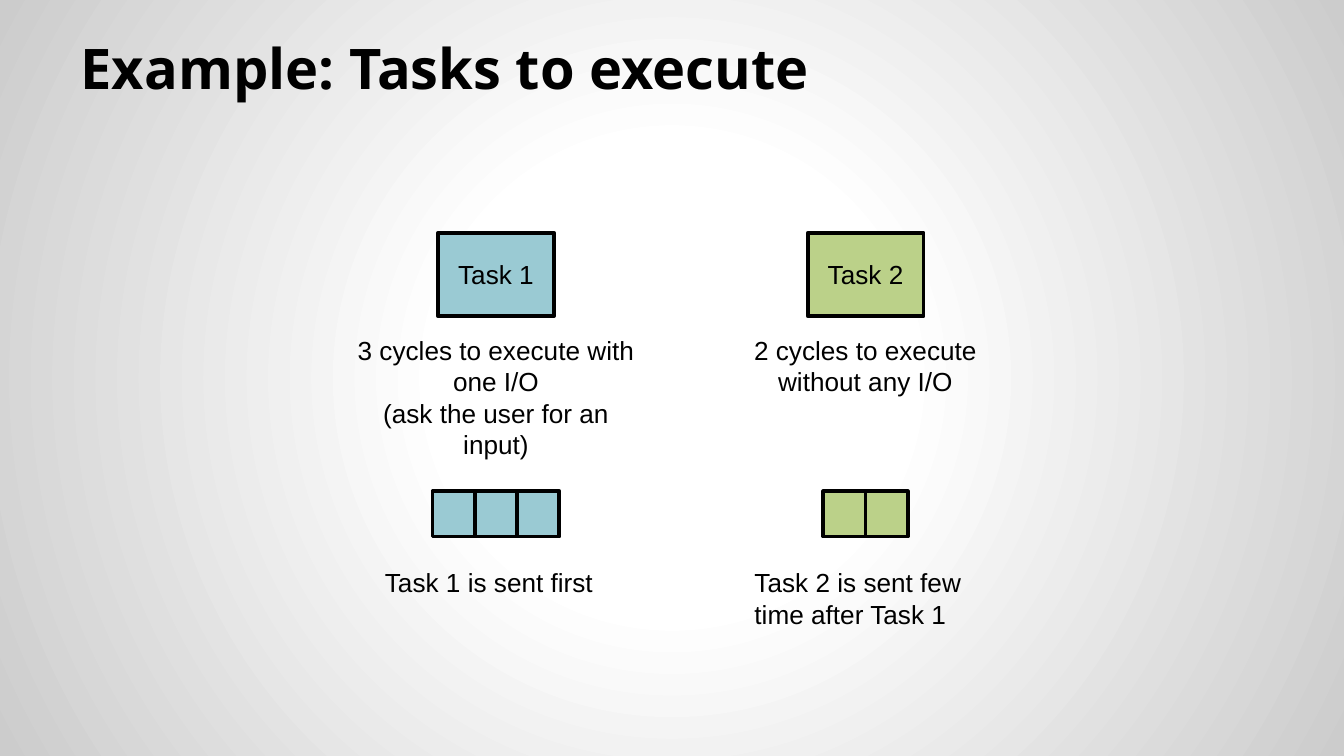
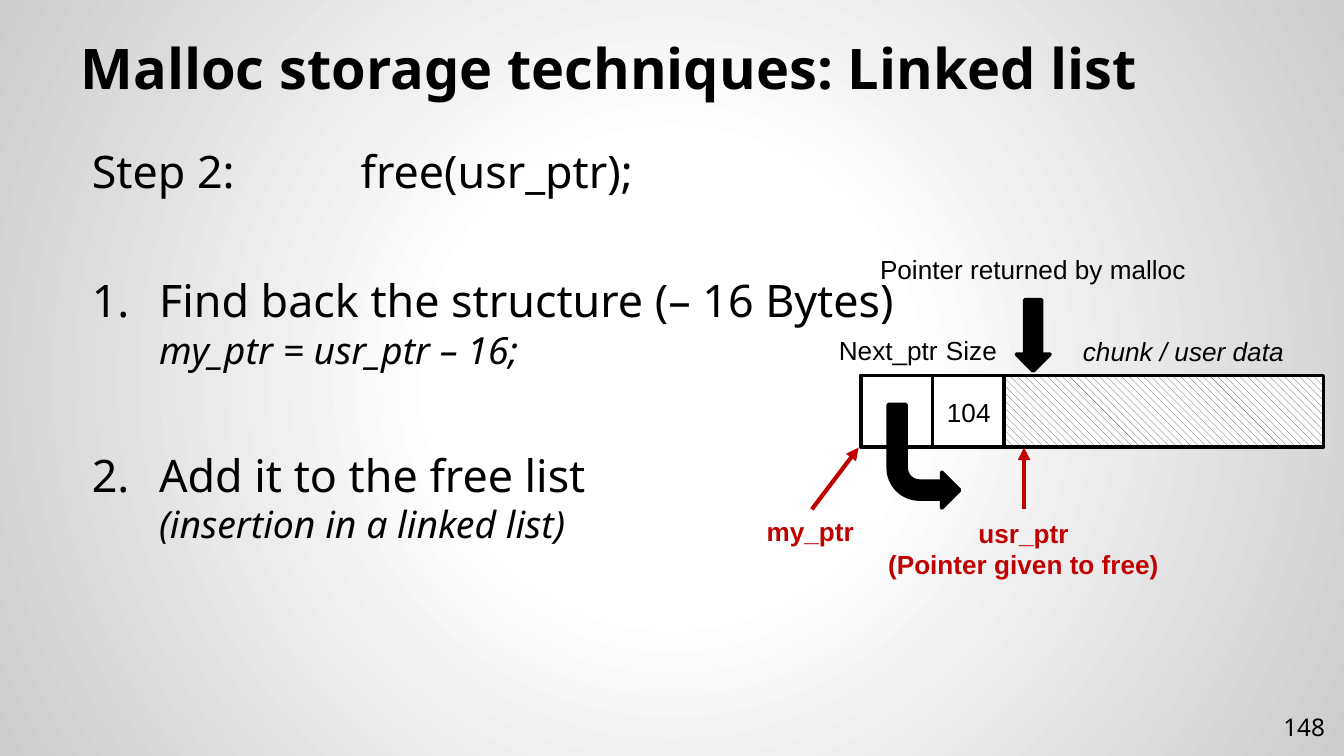
"""Build two slides on task scheduling and on freeing memory in a linked list."""
import lxml.etree
import pptx
import pptx.dml.color
import pptx.enum.dml
import pptx.enum.shapes
import pptx.enum.text
import pptx.oxml
import pptx.oxml.ns
import pptx.util

Pt = pptx.util.Pt
RGBColor = pptx.dml.color.RGBColor
SHAPE = pptx.enum.shapes.MSO_SHAPE
ALIGN = pptx.enum.text.PP_ALIGN
ANCHOR = pptx.enum.text.MSO_ANCHOR
FIT = pptx.enum.text.MSO_AUTO_SIZE
qn = pptx.oxml.ns.qn

BLACK = RGBColor(0x00, 0x00, 0x00)
WHITE = RGBColor(0xFF, 0xFF, 0xFF)
GREY = RGBColor(0x4D, 0x4D, 0x4D)
EDGE = RGBColor(0xCC, 0xCC, 0xCC)
BLUE = RGBColor(0x9A, 0xCA, 0xD3)
GREEN = RGBColor(0xBB, 0xD1, 0x89)
RED = RGBColor(0xC0, 0x00, 0x00)
HEAD_FONT = "Noto Sans"
LABEL_FONT = "Arial"
CELL = 38.2


def set_background(prs):
    """Give the master a radial gradient from white to grey."""
    prs.slide_master.background.fill.solid()
    bg = prs.slide_master.element.find(".//" + qn("p:bgPr"))
    stops = "".join(
        f'<a:gs pos="{pos}000"><a:srgbClr val="{color}"/></a:gs>'
        for pos, color in ((0, WHITE), (30, WHITE), (100, EDGE)))
    grad = pptx.oxml.parse_xml(
        f'<a:gradFill {pptx.oxml.ns.nsdecls("a")} rotWithShape="1">'
        f'<a:gsLst>{stops}</a:gsLst><a:path path="circle">'
        '<a:fillToRect l="50000" t="50000" r="50000" b="50000"/></a:path></a:gradFill>')
    bg.replace(bg.find(qn("a:solidFill")), grad)


def place(sp, x, y, w, h):
    """Move and size a placeholder."""
    sp.left, sp.top, sp.width, sp.height = Pt(x), Pt(y), Pt(w), Pt(h)


def set_insets(tf, size):
    """Set the same inset on all four sides."""
    tf.margin_left = tf.margin_right = tf.margin_top = tf.margin_bottom = Pt(size)


def add_run(p, text, size=14, font=LABEL_FONT, color=BLACK, bold=False, italic=False):
    """Add one formatted run."""
    r = p.add_run()
    r.text = text
    r.font.size, r.font.name = Pt(size), font
    r.font.color.rgb = color
    r.font.bold, r.font.italic = bold, italic


def add_lines(p, text, **style):
    """Add a run for each line, with line breaks between."""
    for i, line in enumerate(text.split("\n")):
        if i:
            p.add_line_break()
        add_run(p, line, **style)


def add_label(s, text, x, y, w, h=24.5, align=ALIGN.CENTER, **style):
    """Add a wrapped text box that grows with its text."""
    tf = s.shapes.add_textbox(Pt(x), Pt(y), Pt(w), Pt(h)).text_frame
    tf.word_wrap = True
    tf.auto_size = FIT.SHAPE_TO_FIT_TEXT
    p = tf.paragraphs[0]
    p.alignment = align
    add_lines(p, text, **style)
    return tf


def add_box(s, x, y, w, h, fill, kind=SHAPE.RECTANGLE, text=""):
    """Add a filled, black-outlined shape."""
    sp = s.shapes.add_shape(kind, Pt(x), Pt(y), Pt(w), Pt(h))
    sp.shadow.inherit = False
    sp.fill.solid()
    sp.fill.fore_color.rgb = fill
    sp.line.color.rgb = BLACK
    sp.line.width = Pt(2)
    if text:
        sp.text_frame.vertical_anchor = ANCHOR.MIDDLE
        p = sp.text_frame.paragraphs[0]
        p.alignment = ALIGN.CENTER
        add_run(p, text)
    return sp


def add_arrow(s, x1, y1, x2, y2):
    """Add a red line with an arrowhead at its end."""
    cx = s.shapes.add_connector(
        pptx.enum.shapes.MSO_CONNECTOR.STRAIGHT, Pt(x1), Pt(y1), Pt(x2), Pt(y2))
    cx.line.color.rgb = RED
    cx.line.width = Pt(2.25)
    ln = cx.element.spPr.find(qn("a:ln"))
    lxml.etree.SubElement(ln, qn("a:tailEnd"), type="triangle")
    lxml.etree.SubElement(cx.element.spPr, qn("a:effectLst"))


def add_slide(prs, layout, title):
    """Add a slide with the shared title style."""
    s = prs.slides.add_slide(prs.slide_layouts[layout])
    place(s.shapes.title, 36, 16.6, 648, 44.6)
    tf = s.shapes.title.text_frame
    set_insets(tf, 7.2)
    tf.auto_size = FIT.NONE
    tf.word_wrap = True
    tf.vertical_anchor = ANCHOR.BOTTOM
    p = tf.paragraphs[0]
    p.alignment = ALIGN.LEFT
    add_run(p, title, size=30, font=HEAD_FONT, bold=True)
    return s


def add_task(s, center, name, color, cycles, caption, caption_w, note):
    """Add a task box with its caption, cycle cells and note on one axis."""
    cell = 22.65
    add_box(s, center - 31, 124.7, 62, 44.8, color, text=name)
    add_label(s, caption, center - caption_w / 2, 175.6, caption_w)
    for i in range(cycles):
        add_box(s, center + (i - cycles / 2) * cell, 263.2, cell, 24.3, color)
    add_label(s, note, center - 66.6, 300, 133.2, align=ALIGN.LEFT)


def format_item(p, left, indent, before, numbered):
    """Set the indents, tabs, spacing and bullet of a body paragraph."""
    p.alignment = ALIGN.LEFT
    p.space_before = Pt(before)
    p.line_spacing = 1.0
    pPr = p._p.get_or_add_pPr()
    pPr.set("marL", str(Pt(left)))
    pPr.set("indent", str(Pt(indent)))
    pPr.set("defTabSz", str(Pt(72)))
    if numbered:
        clr = lxml.etree.SubElement(pPr, qn("a:buClr"))
        lxml.etree.SubElement(clr, qn("a:srgbClr"), val=str(BLACK))
        lxml.etree.SubElement(pPr, qn("a:buFont"), typeface=HEAD_FONT)
        lxml.etree.SubElement(pPr, qn("a:buAutoNum"), type="arabicPeriod")
    else:
        lxml.etree.SubElement(pPr, qn("a:buNone"))


def add_steps(s, heading, steps):
    """Fill the body with a heading and numbered steps with italic details."""
    body = s.placeholders[1]
    place(body, 36, 69.8, 648, 317.5)
    tf = body.text_frame
    set_insets(tf, 7.2)
    tf.auto_size = FIT.NONE
    p = tf.paragraphs[0]
    format_item(p, 6, 0, 6, False)
    add_run(p, heading, size=24, font=HEAD_FONT)
    for step, detail in steps:
        p = tf.add_paragraph()
        format_item(p, 42, -36, 40.5, True)
        add_run(p, step, size=24, font=HEAD_FONT)
        p.add_line_break()
        add_run(p, detail, size=20, font=HEAD_FONT, italic=True)


def add_page_number(s, number):
    """Add the page number in the bottom right corner."""
    tf = add_label(s, number, 673.7, 373.7, 43.2, 31, ALIGN.RIGHT, size=13, font=HEAD_FONT)
    tf.auto_size = FIT.NONE
    set_insets(tf, 7.2)
    tf.vertical_anchor = ANCHOR.MIDDLE


def add_chunk(s, x, y):
    """Add the memory chunk with its header cells, arrows and labels."""
    data = add_box(s, x, y, 247.7, CELL, WHITE)
    data.fill.patterned()
    data.fill.pattern = pptx.enum.dml.MSO_PATTERN.WIDE_DOWNWARD_DIAGONAL
    data.fill.fore_color.rgb = GREY
    data.fill.back_color.rgb = WHITE
    for i in range(2):
        add_box(s, x + i * CELL, y, CELL, CELL, WHITE)
    add_label(s, "Size", 499.7, 175.7, 49, align=ALIGN.LEFT)
    add_label(s, "Next_ptr", 442.3, 175.7, 71.3, align=ALIGN.LEFT)
    link = add_box(s, 475.9, 216.7, CELL, 55.4, BLACK, SHAPE.BENT_ARROW)
    link.rotation = 180
    link.element.spPr.get_or_add_xfrm().set("flipH", "1")
    add_box(s, 544.5, 160.6, 18, CELL, BLACK, SHAPE.DOWN_ARROW)
    add_label(s, "Pointer returned by malloc", 455.8, 132.2, 195.1)
    add_label(s, "chunk / user data", 558.7, 176.4, 150.5, italic=True)
    add_arrow(s, 434.9, 272.9, 460, 239.8)
    add_arrow(s, 548.6, 272.9, 548.6, 239.8)
    add_label(s, "usr_ptr\n(Pointer given to free)", 462.6, 273.6, 171.4, 41, color=RED, bold=True)
    add_label(s, "my_ptr", 397.4, 272.7, 73.4, color=RED, bold=True)
    add_label(s, "104", 496.7, 208.8, 44.6)


def main():
    """Build and save the slides."""
    prs = pptx.Presentation()
    prs.slide_width, prs.slide_height = Pt(720), Pt(405)
    set_background(prs)

    s = add_slide(prs, 5, "Example: Tasks to execute")
    add_task(s, 265.7, "Task 1", BLUE, 3,
             "3 cycles to execute with one I/O\n(ask the user for an input)", 167,
             "Task 1 is sent first")
    add_task(s, 463.7, "Task 2", GREEN, 2,
             "2 cycles to execute without any I/O", 148.3,
             "Task 2 is sent few time after Task 1")

    s = add_slide(prs, 1, "Malloc storage techniques: Linked list")
    add_steps(s, "Step 2:\tfree(usr_ptr);", [
        ("Find back the structure (– 16 Bytes)", "my_ptr = usr_ptr – 16;"),
        ("Add it to the free list", "(insertion in a linked list)")])
    add_page_number(s, "148")
    add_chunk(s, 461.4, 201.2)
    prs.save("out.pptx")


if __name__ == "__main__":
    main()
